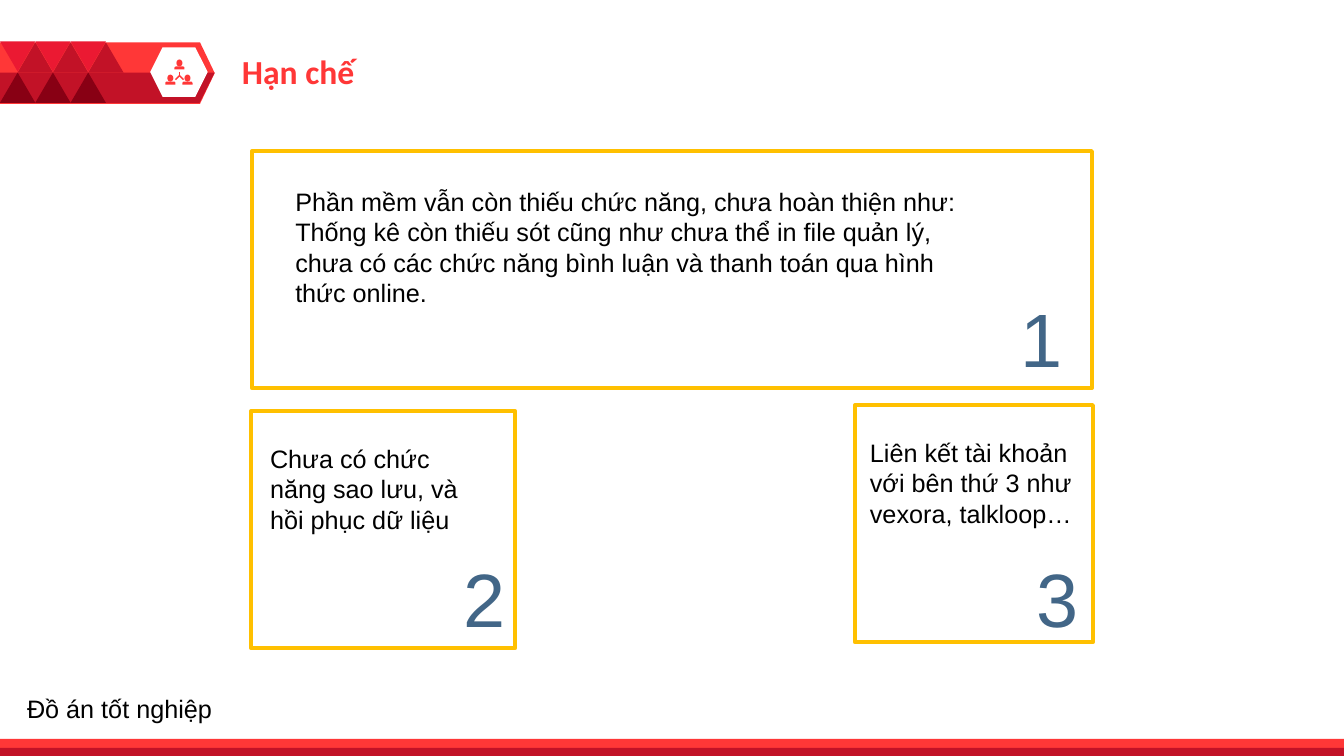
from lxml.etree import SubElement
from pptx import Presentation
from pptx.dml.color import RGBColor
from pptx.enum.shapes import MSO_CONNECTOR, MSO_SHAPE
from pptx.enum.text import MSO_ANCHOR, MSO_AUTO_SIZE, PP_ALIGN
from pptx.oxml.ns import qn
from pptx.util import Inches, Pt

RED = RGBColor(0xFF, 0x37, 0x37)
DARK_RED = RGBColor(0xC2, 0x12, 0x27)
CRIMSON = RGBColor(0xEB, 0x19, 0x32)
MAROON = RGBColor(0x88, 0x00, 0x14)
GOLD = RGBColor(0xFF, 0xC0, 0x00)
BLUE = RGBColor(0x42, 0x66, 0x87)
BLACK = RGBColor(0x00, 0x00, 0x00)
WHITE = RGBColor(0xFF, 0xFF, 0xFF)

# Frame, text box, text, number, number box position
CARDS = [
    ((2.49, 4.08, 2.62, 2.35), (2.58, 4.35, 2.2, 1.31),
     "Chưa có chức năng sao lưu, và hồi phục dữ liệu", "2", (3.47, 5.43)),
    ((2.5, 1.5, 8.33, 2.35), (2.83, 1.8, 6.92, 1.31),
     "Phần mềm vẫn còn thiếu chức năng, chưa hoàn thiện như: Thống kê còn "
     "thiếu sót cũng như chưa thể in file quản lý, chưa có các chức năng "
     "bình luận và thanh toán qua hình thức online.", "1", (9, 2.85)),
    ((8.48, 4.02, 2.36, 2.35), (8.53, 4.29, 2.36, 1.62),
     "Liên kết tài khoản với bên thứ 3 như vexora, talkloop…", "3",
     (9.16, 5.43)),
]


def write(s, text, size=18, font="Arial", color=BLACK, bold=False,
          align=PP_ALIGN.LEFT):
    tf = s.text_frame
    tf.word_wrap = True
    tf.auto_size = MSO_AUTO_SIZE.NONE
    tf.vertical_anchor = MSO_ANCHOR.TOP
    p = tf.paragraphs[0]
    p.alignment = align
    r = p.add_run()
    r.text = text
    r.font.size, r.font.name, r.font.bold = Pt(size), font, bold
    r.font.color.rgb = color


def add_text(sp, box, text, **fmt):
    write(sp.add_textbox(*map(Inches, box)), text, **fmt)


def add_shape(sp, kind, box, fill=None, line=None, rotation=0):
    s = sp.add_shape(kind, *map(Inches, box))
    s.shadow.inherit = False
    s.rotation = rotation
    if fill is None:
        s.fill.background()
    else:
        s.fill.solid()
        s.fill.fore_color.rgb = fill
    if line is None:
        s.line.fill.background()
    else:
        s.line.color.rgb = line
        s.line.width = Pt(3)
    return s


def add_outline(sp, points, fill):
    (x, y), *rest = [(Inches(a), Inches(b)) for a, b in points]
    builder = sp.build_freeform(x, y)
    builder.add_line_segments(rest)
    s = builder.convert_to_shape()
    s.shadow.inherit = False
    s.fill.solid()
    s.fill.fore_color.rgb = fill
    s.line.fill.background()


def add_line(sp, start, end, color, width):
    c = sp.add_connector(MSO_CONNECTOR.STRAIGHT,
                         *map(Inches, (*start, *end)))
    c.line.color.rgb = color
    c.line.width = Pt(width)
    SubElement(c._element.spPr, qn("a:effectLst"))


def add_person(sp, x, y):
    """Head and shoulders centred on x, with the top at y."""
    add_shape(sp, MSO_SHAPE.OVAL, (x - 0.03, y, 0.06, 0.07), RED)
    s = add_shape(sp, MSO_SHAPE.ROUND_2_SAME_RECTANGLE,
                  (x - 0.05, y + 0.07, 0.1, 0.03), RED)
    s.adjustments[0] = 0.5


def add_banner(sp):
    # Arrow band with its darker lower half
    band = add_shape(sp, MSO_SHAPE.PENTAGON, (0, 0.42, 2.13, 0.61), RED)
    band.adjustments[0] = 0.239
    add_outline(sp, [(0, 0.72), (2.13, 0.72), (1.98, 1.02), (0, 1.02)],
                DARK_RED)

    # Hexagon badge with three linked people
    add_shape(sp, MSO_SHAPE.HEXAGON, (1.49, 0.47, 0.57, 0.49), WHITE)
    hub = (1.78, 0.75)
    for end in [(1.78, 0.71), (1.74, 0.79), (1.82, 0.79)]:
        add_line(sp, hub, end, RED, 1)
    for x, y in [(1.78, 0.59), (1.69, 0.74), (1.86, 0.74)]:
        add_person(sp, x, y)

    # Triangle mosaic
    w, h = 0.35, 0.3
    for i in range(3):
        x = i * w
        for dx, y, fill, rotation in [(0, 0.41, CRIMSON, 180),
                                      (w / 2, 0.42, DARK_RED, 0),
                                      (0, 0.72, MAROON, 0)]:
            add_shape(sp, MSO_SHAPE.ISOSCELES_TRIANGLE, (x + dx, y, w, h),
                      fill, rotation=rotation)


def add_title(slide, text):
    s = slide.shapes.title
    s.left, s.top, s.width, s.height = map(Inches, (2.3, 0.45, 4.22, 0.5))
    write(s, text, size=24, font="Calibri", color=RED, bold=True)


def main():
    prs = Presentation()
    prs.slide_width, prs.slide_height = Inches(13.33), Inches(7.5)
    slide = prs.slides.add_slide(prs.slide_layouts[5])
    sp = slide.shapes

    # Header and bottom stripes
    add_banner(sp)
    add_shape(sp, MSO_SHAPE.RECTANGLE, (0, 7.33, 13.33, 0.16), RED)
    add_shape(sp, MSO_SHAPE.RECTANGLE, (0, 7.42, 13.33, 0.08), DARK_RED)
    add_title(slide, "Hạn chế")

    # Numbered cards
    for frame, text_box, text, number, corner in CARDS:
        add_shape(sp, MSO_SHAPE.RECTANGLE, frame, line=GOLD)
        add_text(sp, text_box, text)
        add_text(sp, (*corner, 1.64, 1.01), number, size=54, color=BLUE,
                 align=PP_ALIGN.RIGHT)

    # Footer
    add_text(sp, (0.17, 6.83, 2.83, 0.4), "Đồ án tốt nghiệp")
    prs.save("out.pptx")


if __name__ == "__main__":
    main()
